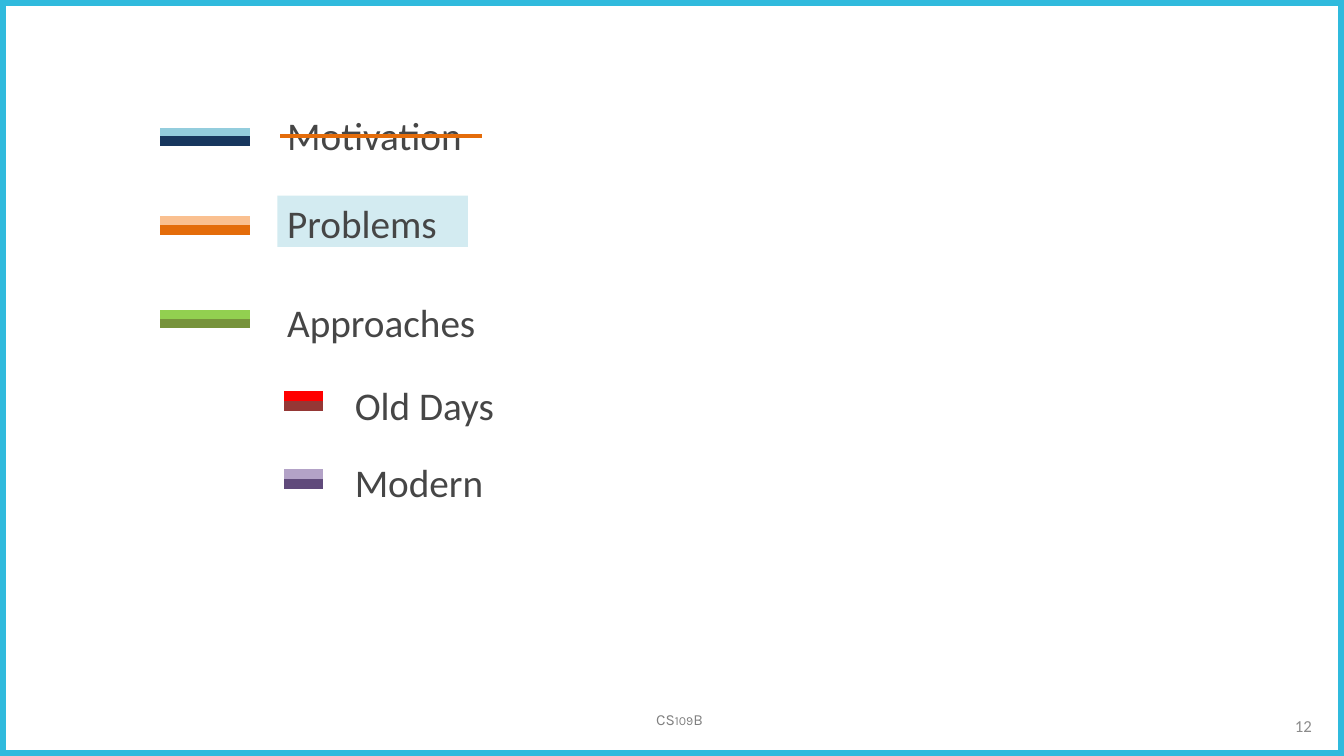
"""Build the agenda slide with its colour-keyed topics."""
import pptx
import pptx.util
import pptx.dml.color
import pptx.enum.shapes
import pptx.enum.text
import pptx.oxml
import pptx.oxml.ns
import lxml.etree

Inches = pptx.util.Inches
Pt = pptx.util.Pt
Align = pptx.enum.text.PP_ALIGN
Anchor = pptx.enum.text.MSO_ANCHOR


def color(code):
    """Turn a hex string into a colour."""
    return pptx.dml.color.RGBColor.from_string(code)


class Page:
    """Hold the style and the current slide."""

    face = "Calibri"
    ink = "464646"
    size = 28

    def __init__(self, slide):
        """Keep the shapes of the slide."""
        self.shapes = slide.shapes

    def rect(self, box, fill=None, alpha=100, edge=None, width=0):
        """Draw a rectangle with an optional fill and edge."""
        kind = pptx.enum.shapes.MSO_SHAPE.RECTANGLE
        shape = self.shapes.add_shape(kind, *map(Inches, box))
        shape.shadow.inherit = False
        if fill:
            shape.fill.solid()
            shape.fill.fore_color.rgb = color(fill)
            tone = shape.fill._xPr.find(".//" + pptx.oxml.ns.qn("a:srgbClr"))
            part = lxml.etree.SubElement(tone, pptx.oxml.ns.qn("a:alpha"))
            part.set("val", str(alpha * 1000))
        else:
            shape.fill.background()
        if edge:
            shape.line.color.rgb = color(edge)
            shape.line.width = Pt(width)
        else:
            shape.line.fill.background()

    def line(self, left, right, top, ink, width=7):
        """Draw a level line."""
        kind = pptx.enum.shapes.MSO_CONNECTOR.STRAIGHT
        ends = map(Inches, (left, top, right, top))
        line = self.shapes.add_connector(kind, *ends)
        line.line.color.rgb = color(ink)
        line.line.width = Pt(width)
        props = line._element.spPr
        lxml.etree.SubElement(props, pptx.oxml.ns.qn("a:effectLst"))

    def text(self, box, words, size=size, ink=ink, face=face,
             align=Align.LEFT, anchor=Anchor.TOP, wrap=True, small=False):
        """Write one paragraph in a box."""
        frame = self.shapes.add_textbox(*map(Inches, box)).text_frame
        frame.word_wrap = wrap
        frame.vertical_anchor = anchor
        para = frame.paragraphs[0]
        para.text = words
        para.alignment = align
        para.font.name = face
        para.font.size = Pt(size)
        para.font.color.rgb = color(ink)
        if small:
            para._p.xpath("a:pPr/a:defRPr")[0].set("cap", "small")

    def topic(self, words, top, bars, left, right, start):
        """Write a topic beside its pair of bars."""
        for level, ink in bars:
            self.line(left, right, level, ink)
        self.text((start, top, 2.65, 0.6), words)


def main():
    """Build and save the slide."""
    deck = pptx.Presentation()
    deck.slide_width = Inches(13.33)
    deck.slide_height = Inches(7.5)
    page = Page(deck.slides.add_slide(deck.slide_layouts[6]))

    page.text((6.38, 7, 0.72, 0.29), "CS109B", 11, "808080", "Karla",
              Align.CENTER, wrap=False, small=True)
    page.rect((0, 0, 13.33, 7.5), edge="30BADD", width=8)
    page.rect((2.75, 1.94, 1.89, 0.51), fill="B7DEE8", alpha=60)
    page.text((10, 7, 3.11, 0.4), "12", 12, "8C8C8C",
              align=Align.RIGHT, anchor=Anchor.MIDDLE)

    main_cols = (1.59, 2.48, 2.75)
    sub_cols = (2.82, 3.2, 3.42)
    topics = [
        ("Motivation", 1.06, [(1.32, "93CDDD"), (1.4, "17375E")], main_cols),
        ("Problems", 1.93, [(2.19, "FAC090"), (2.28, "E46C0A")], main_cols),
        ("Approaches", 2.91, [(3.12, "92D050"), (3.21, "77933C")], main_cols),
        ("Old Days", 3.73, [(3.93, "FF0000"), (4.03, "953735")], sub_cols),
        ("Modern", 4.5, [(4.7, "B3A2C7"), (4.8, "604A7B")], sub_cols),
    ]
    for words, top, bars, cols in topics:
        page.topic(words, top, bars, *cols)
    page.line(2.78, 4.78, 1.35, "E46C0A", 3)

    deck.save("out.pptx")


if __name__ == "__main__":
    main()
